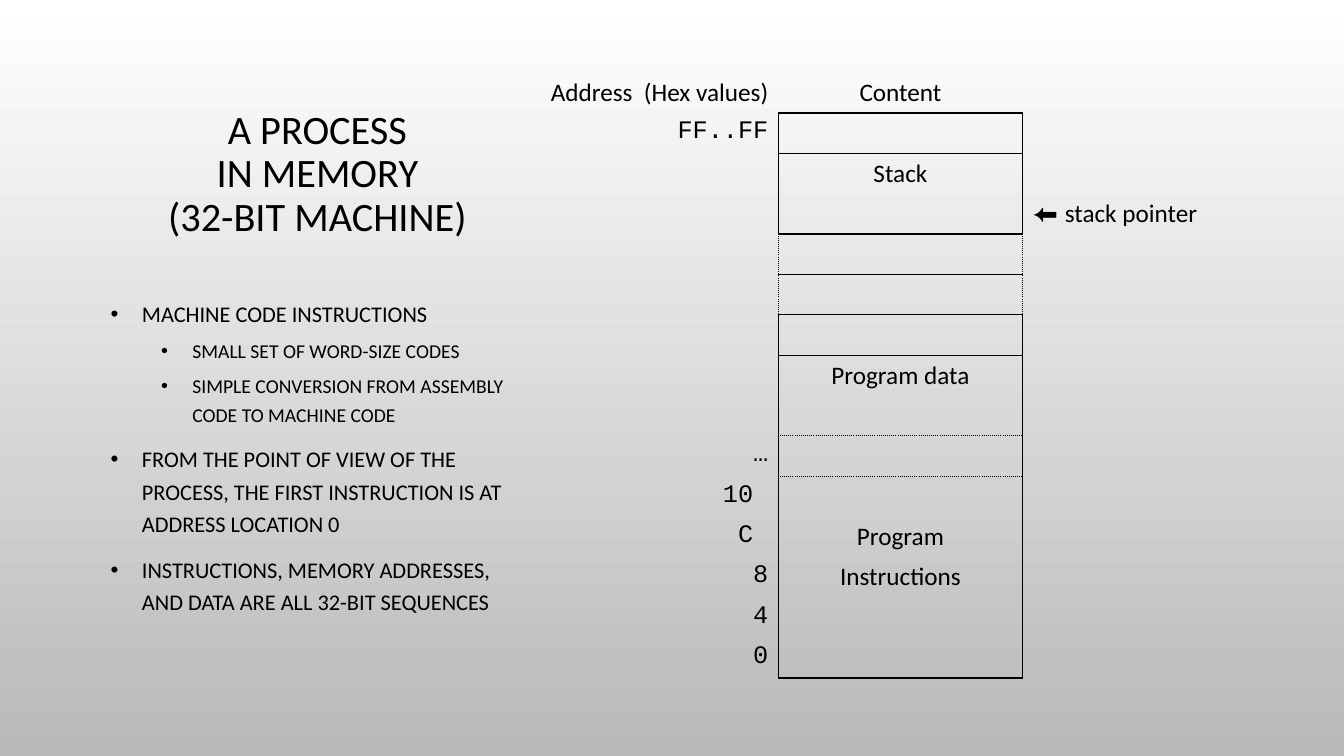
from dataclasses import dataclass

from lxml import etree
from pptx import Presentation
from pptx import util as u
from pptx.dml.color import RGBColor
from pptx.enum import text
from pptx.oxml import ns


@dataclass(frozen=True)
class Theme:
    ink: str = "000000"
    top: str = "FFFFFF"
    bottom: str = "B9B9B9"
    sans: str = "Calibri"
    mono: str = "Courier New"
    symbol: str = "Arial"
    title: float = 28.8
    bullets: tuple = (16, 14)
    memory: float = 18


theme = Theme()
ALIGN = text.PP_ALIGN

prs = Presentation()
prs.slide_width, prs.slide_height = u.Inches(13.33), u.Inches(7.5)
COL, ROW = prs.slide_width / 40, prs.slide_height / 25
slide = prs.slides.add_slide(prs.slide_layouts[5])


def style(paragraph, size, font=theme.sans):
    for run in paragraph.runs:
        run.font.size = u.Pt(size)
        run.font.name = font
        run.font.color.rgb = RGBColor.from_string(theme.ink)


def add_border(cell, side, dash):
    """Draw one side (L, R, T or B) with a preset dash, or clear it if dash is None."""
    line = etree.SubElement(cell._tc.get_or_add_tcPr(), ns.qn(f"a:ln{side}"), w=str(u.Pt(1)))
    if dash is None:
        etree.SubElement(line, ns.qn("a:noFill"))
        return
    fill = etree.SubElement(line, ns.qn("a:solidFill"))
    etree.SubElement(fill, ns.qn("a:srgbClr"), val=theme.ink)
    etree.SubElement(line, ns.qn("a:prstDash"), val=dash)


# Background
backdrop = slide.background.fill
backdrop.gradient()
backdrop.gradient_angle = 270
for stop, shade in zip(backdrop.gradient_stops, (theme.top, theme.bottom)):
    stop.color.rgb = RGBColor.from_string(shade)

# Title
heading = slide.shapes.title
heading.left, heading.top = int(3 * COL), int(3.37 * ROW)
heading.width, heading.height = int(12.9 * COL), int(6.23 * ROW)
frame = heading.text_frame
frame.text = "A PROCESS\vIN MEMORY\v(32-BIT MACHINE)"
frame.word_wrap = True
frame.auto_size = text.MSO_AUTO_SIZE.NONE
frame.vertical_anchor = text.MSO_ANCHOR.BOTTOM
frame.margin_bottom = u.Inches(0.5)
frame.paragraphs[0].alignment = ALIGN.CENTER
frame.paragraphs[0].line_spacing = 0.9
style(frame.paragraphs[0], theme.title)

# Bullet points
points = [
    (0, "MACHINE CODE INSTRUCTIONS"),
    (1, "SMALL SET OF WORD-SIZE CODES"),
    (1, "SIMPLE CONVERSION FROM ASSEMBLY CODE TO MACHINE CODE"),
    (0, "FROM THE POINT OF VIEW OF THE PROCESS, THE FIRST INSTRUCTION IS AT ADDRESS LOCATION 0"),
    (0, "INSTRUCTIONS, MEMORY ADDRESSES, AND DATA ARE ALL 32-BIT SEQUENCES"),
]
notes = slide.shapes.add_textbox(
    int(3 * COL), int(9.6 * ROW), int(12.9 * COL), int(11.5 * ROW)).text_frame
notes.word_wrap = True
notes.text = "\n".join(point for _, point in points)
for paragraph, (level, _) in zip(notes.paragraphs, points):
    paragraph.level = level
    paragraph.line_spacing = 1.2
    paragraph.space_before = u.Pt((10, 5)[level])
    style(paragraph, theme.bullets[level])
    props = paragraph._p.get_or_add_pPr()
    props.set("marL", str(u.Inches(0.31 + 0.5 * level)))
    props.set("indent", str(u.Inches(-0.31)))
    bullet_color = etree.SubElement(props, ns.qn("a:buClr"))
    etree.SubElement(bullet_color, ns.qn("a:srgbClr"), val=theme.ink)
    etree.SubElement(props, ns.qn("a:buFont"), typeface=theme.symbol)
    etree.SubElement(props, ns.qn("a:buChar"), char="•")

# Memory map: columns are address, content, pointer
SLOTS = 15
addresses = {0: "Address  (Hex values)", 1: "FF..FF", 9: "…", 10: "10 ", 11: "C ",
             12: "8", 13: "4", 14: "0"}
contents = {0: "Content", 2: "Stack", 7: "Program data", 11: "Program", 12: "Instructions"}
rule_below = {**dict.fromkeys((0, 1, 3, 4, 5, 6, 14), "solid"),
              **dict.fromkeys((8, 9), "sysDot")}
wall = {slot: "sysDot" if slot in (4, 5) else "solid" for slot in range(1, SLOTS)}

memory = slide.shapes.add_table(
    SLOTS, 3, int(15.9 * COL), int(2.4 * ROW), int(21.8 * COL), int(20 * ROW)).table
memory.first_row = memory.horz_banding = False

for slot in range(SLOTS):
    address, content, pointer = (memory.cell(slot, column) for column in range(3))
    for cell, words, align, font in (
            (address, addresses.get(slot, ""), ALIGN.RIGHT, theme.mono if slot else theme.sans),
            (content, contents.get(slot, ""), ALIGN.CENTER, theme.sans)):
        cell.text = words
        cell.text_frame.paragraphs[0].alignment = align
        style(cell.text_frame.paragraphs[0], theme.memory, font)

    side_wall = wall.get(slot)
    borders = (
        (address, (None, side_wall, None, None)),
        (content, (side_wall, side_wall, rule_below.get(slot - 1), rule_below.get(slot))),
        (pointer, (side_wall, None, None, None)),
    )
    for cell, dashes in borders:
        for side, dash in zip("LRTB", dashes):
            add_border(cell, side, dash)
        cell.fill.background()

stack_pointer = memory.cell(3, 2).text_frame.paragraphs[0]
stack_pointer.text = "⬅ "
stack_pointer.add_run().text = "stack pointer"
style(stack_pointer, theme.memory)
stack_pointer.runs[0].font.name = theme.symbol

prs.save("out.pptx")
